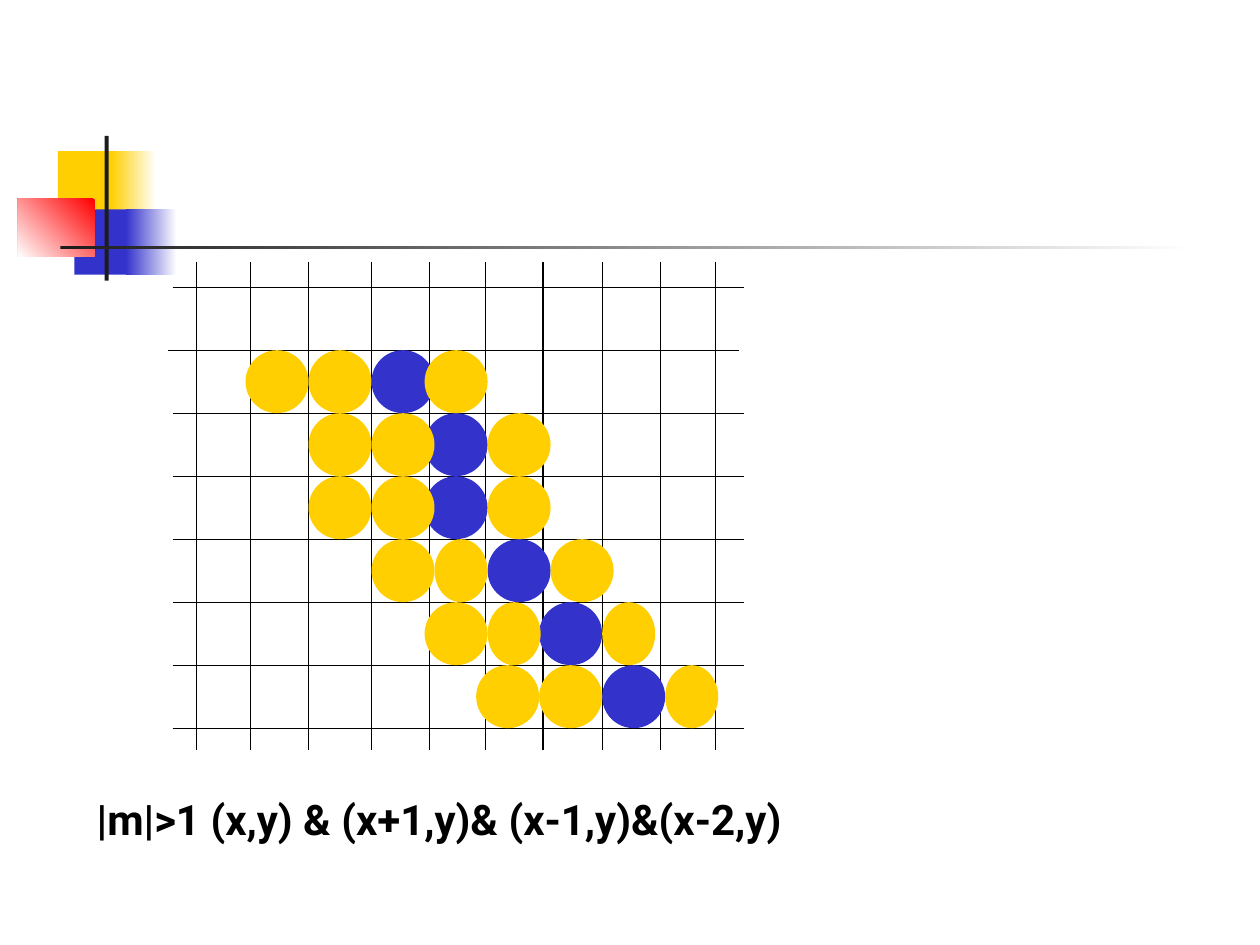
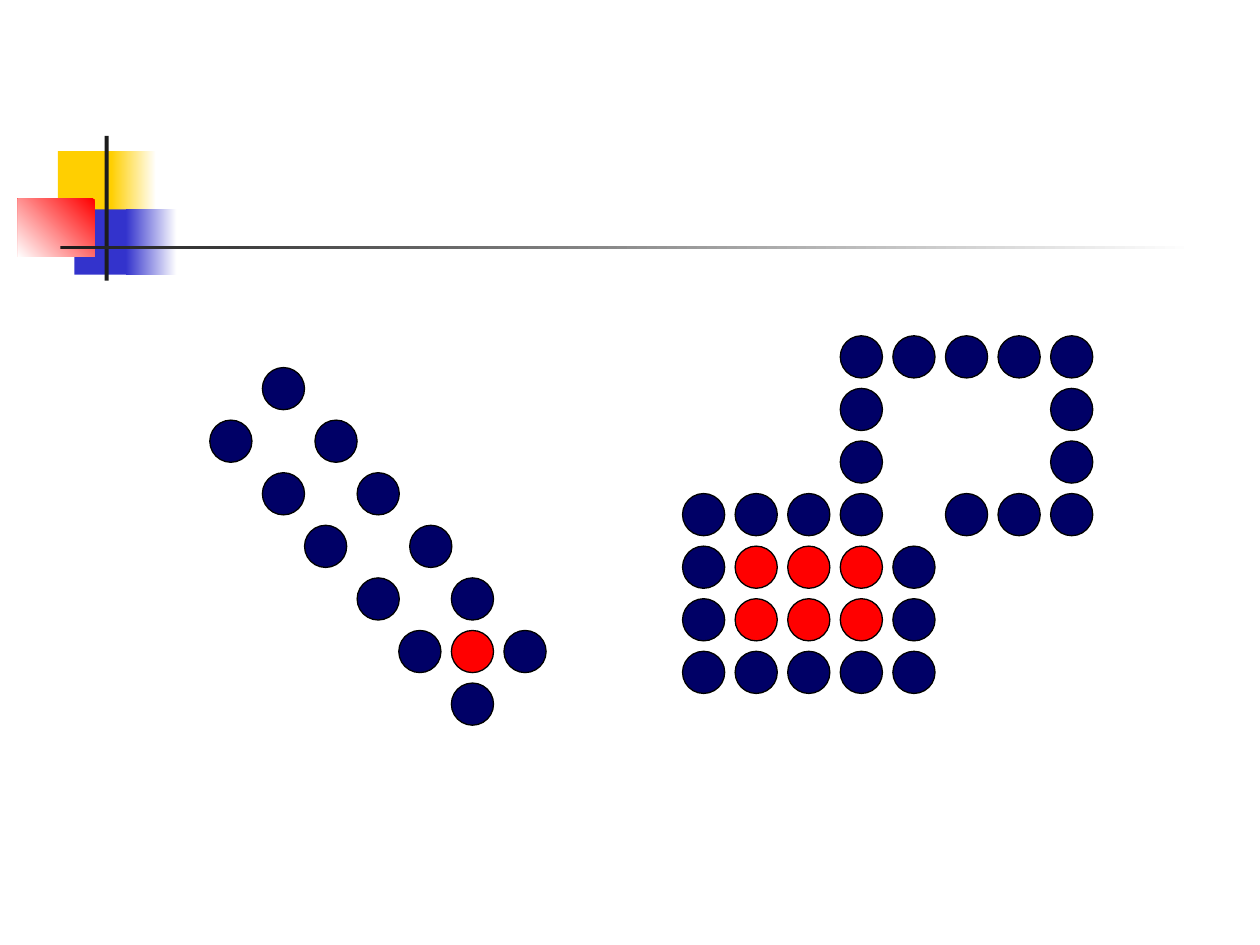
"""Two slides on thick lines: a pixel grid and dotted outlines."""
from dataclasses import dataclass
from typing import Optional, Union

from lxml.etree import SubElement as Sub
from pptx import Presentation
from pptx.dml.color import RGBColor
from pptx.enum.shapes import MSO_CONNECTOR as Link, MSO_SHAPE as Form
from pptx.enum.text import MSO_AUTO_SIZE as Fit
from pptx.oxml.ns import qn
from pptx.shapes.shapetree import GroupShapes, SlideShapes
from pptx.slide import Slide
from pptx.util import Cm, Pt

Tree = Union[SlideShapes, GroupShapes]

WHITE = RGBColor(0xFF, 0xFF, 0xFF)
BLACK = RGBColor(0x00, 0x00, 0x00)
COAL = RGBColor(0x1C, 0x1C, 0x1C)
GOLD = RGBColor(0xFF, 0xCF, 0x01)
BLUE = RGBColor(0x33, 0x33, 0xCC)
NAVY = RGBColor(0x00, 0x00, 0x66)
RED = RGBColor(0xFF, 0x00, 0x00)
FONT = "Roboto"

CELL = 1.27
SLIM = 1.07
DOT = 0.85
STEP = 1.06


@dataclass(frozen=True)
class Band:
    """A plain or fading rectangle; lengths in cm."""
    left: float
    top: float
    width: float
    height: float
    color: RGBColor
    fade: Optional[int] = None


@dataclass(frozen=True)
class Disc:
    """A filled ellipse; lengths in cm."""
    left: float
    top: float
    width: float
    height: float
    color: RGBColor
    edge: bool = False


BANDS = (
    Band(1.17, 3.05, 1.22, 1.32, GOLD),
    Band(2.24, 3.05, 0.91, 1.32, GOLD, 0),
    Band(1.5, 4.22, 1.17, 1.32, BLUE),
    Band(2.54, 4.22, 1.02, 1.32, BLUE, 0),
    Band(0.36, 4.01, 1.55, 1.17, RED, 225),
    Band(2.11, 2.74, 0.08, 2.92, COAL),
    Band(1.22, 4.95, 22.86, 0.08, COAL, 0),
)

COLS = (3.96, 5.05, 6.22, 7.49, 8.66, 9.78, 10.95, 12.14, 13.31, 14.43)
ROWS = 8
GRID_TOP = 5.79

CORE = (7.49, 8.56, 8.56, 9.83, 10.87, 12.14)
SIDES = (
    ((4.95, CELL), (6.22, CELL), (8.56, CELL)),
    ((6.22, CELL), (7.49, CELL), (9.83, CELL)),
    ((6.22, CELL), (7.49, CELL), (9.83, CELL)),
    ((7.49, CELL), (8.76, SLIM), (11.1, CELL)),
    ((8.56, CELL), (9.83, SLIM), (12.14, SLIM)),
    ((9.6, CELL), (10.87, CELL), (13.41, SLIM)),
)

SLANT = (
    (5.29,),
    (4.23, 6.35),
    (5.29, 7.2),
    (6.14, 8.26),
    (7.2, 9.1),
    (8.04, 9.1, 10.16),
    (9.1,),
)
SEED = (5, 1)
BLOCK = (
    "   NNNNN",
    "   N   N",
    "   N   N",
    "NNNN NNN",
    "NRRRN",
    "NRRRN",
    "NNNNN",
)
INKS = {"N": NAVY, "R": RED}


def draw_band(tree: Tree, band: Band) -> None:
    """Draw one rectangle, fading to white if asked."""
    box = tree.add_shape(Form.RECTANGLE, Cm(band.left), Cm(band.top),
                         Cm(band.width), Cm(band.height))
    box.shadow.inherit = False
    box.line.fill.background()
    if band.fade is None:
        box.fill.solid()
        box.fill.fore_color.rgb = band.color
        return
    box.fill.gradient()
    box.fill.gradient_angle = band.fade
    for stop, color in zip(box.fill.gradient_stops, (band.color, WHITE)):
        stop.color.rgb = color


def draw_disc(tree: Tree, disc: Disc) -> None:
    """Draw one ellipse, with a black edge if asked."""
    oval = tree.add_shape(Form.OVAL, Cm(disc.left), Cm(disc.top),
                          Cm(disc.width), Cm(disc.height))
    oval.shadow.inherit = False
    oval.fill.solid()
    oval.fill.fore_color.rgb = disc.color
    if disc.edge:
        oval.line.color.rgb = BLACK
        oval.line.width = Pt(0.75)
    else:
        oval.line.fill.background()


def draw_line(tree: Tree, x1: float, y1: float, x2: float, y2: float) -> None:
    """Draw one thin black line."""
    line = tree.add_connector(Link.STRAIGHT, Cm(x1), Cm(y1), Cm(x2), Cm(y2))
    line.line.color.rgb = BLACK
    line.line.width = Pt(0.75)
    Sub(line._element.spPr, qn("a:effectLst"))


def add_page(deck: Presentation) -> Slide:
    """Add a blank slide with the shared bands."""
    page = deck.slides.add_slide(deck.slide_layouts[6])
    for band in BANDS:
        draw_band(page.shapes, band)
    return page


def add_group(page: Slide) -> GroupShapes:
    """Start a group and return its shapes."""
    return page.shapes.add_group_shape().shapes


def add_label(page: Slide, text: str) -> None:
    """Write the formula under the grid."""
    box = page.shapes.add_textbox(Cm(1.7), Cm(15.88), Cm(15.65), Cm(1.27))
    frame = box.text_frame
    frame.word_wrap = False
    frame.auto_size = Fit.SHAPE_TO_FIT_TEXT
    run = frame.paragraphs[0].add_run()
    run.text = text
    run.font.name = FONT
    run.font.size = Pt(24)
    run.font.bold = True
    run.font.color.rgb = BLACK


def grid_page(deck: Presentation) -> None:
    """Build the pixel grid with its thick line."""
    page = add_page(deck)
    tree = add_group(page)
    for x in COLS:
        draw_line(tree, x, 5.28, x, 15.11)
    for row in range(ROWS):
        y = GRID_TOP + row * CELL
        shift = -0.1 if row == 1 else 0
        draw_line(tree, 3.48 + shift, y, 14.99 + shift, y)
    tops = [GRID_TOP + (row + 1) * CELL for row in range(len(CORE))]
    for x, y in zip(CORE, tops):
        draw_disc(tree, Disc(x, y, CELL, CELL, BLUE))
    for side, y in zip(SIDES, tops):
        for x, width in side:
            draw_disc(tree, Disc(x, y, width, CELL, GOLD))
    add_label(page, "|m|>1 (x,y) & (x+1,y)& (x-1,y)&(x-2,y)")


def dot_page(deck: Presentation) -> None:
    """Build the two dotted outlines with their red fill."""
    page = add_page(deck)
    tree = add_group(page)
    for row, line in enumerate(SLANT):
        for col, x in enumerate(line):
            ink = RED if (row, col) == SEED else NAVY
            draw_disc(tree, Disc(x, 7.41 + row * STEP, DOT, DOT, ink, True))
    tree = add_group(page)
    for row, line in enumerate(BLOCK):
        for col, mark in enumerate(line):
            if mark in INKS:
                draw_disc(tree, Disc(13.76 + col * STEP, 6.77 + row * STEP,
                                     DOT, DOT, INKS[mark], True))


def main() -> None:
    """Build and save the deck."""
    deck = Presentation()
    deck.slide_width, deck.slide_height = Cm(25.4), Cm(19.05)
    grid_page(deck)
    dot_page(deck)
    deck.save("out.pptx")


if __name__ == "__main__":
    main()
